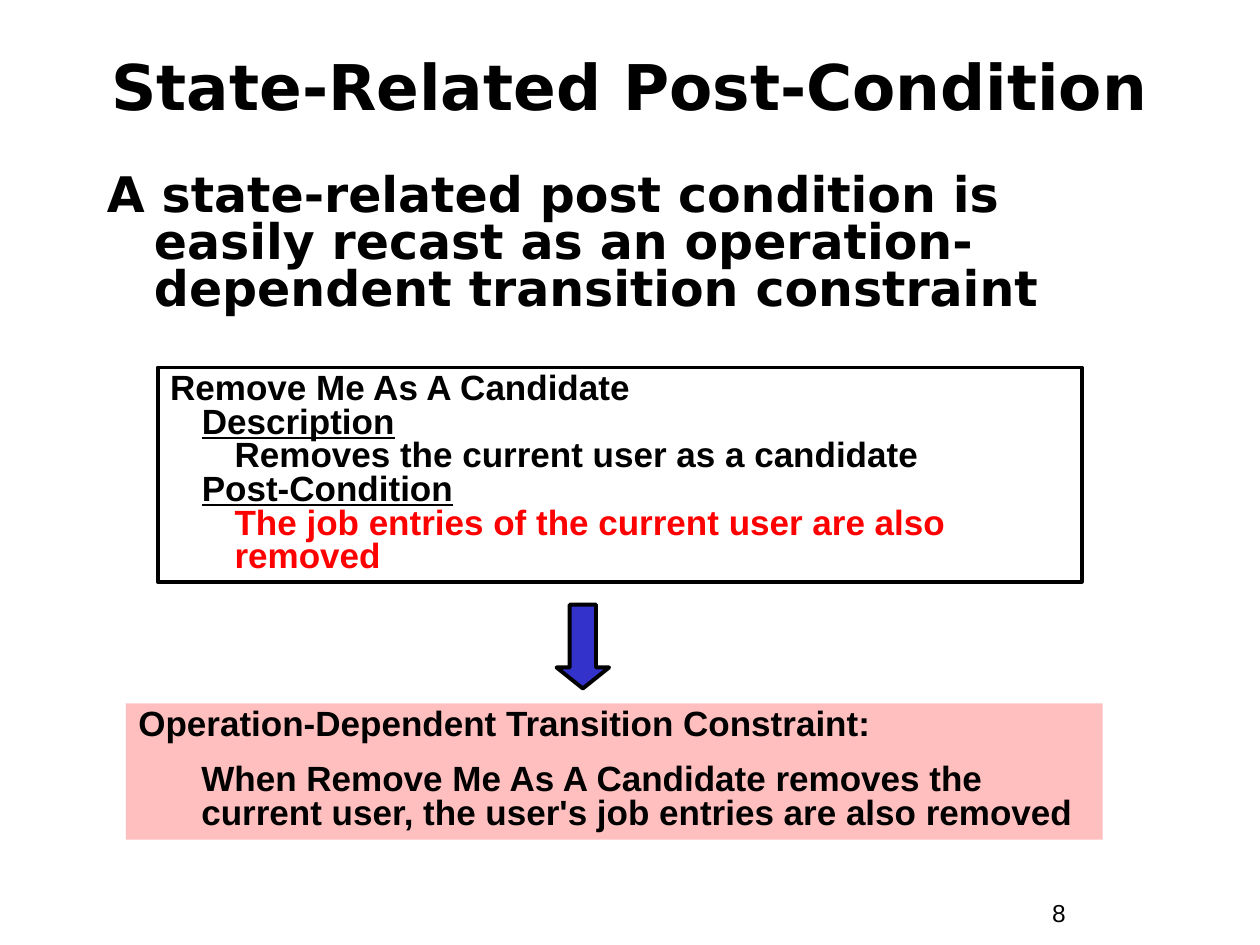
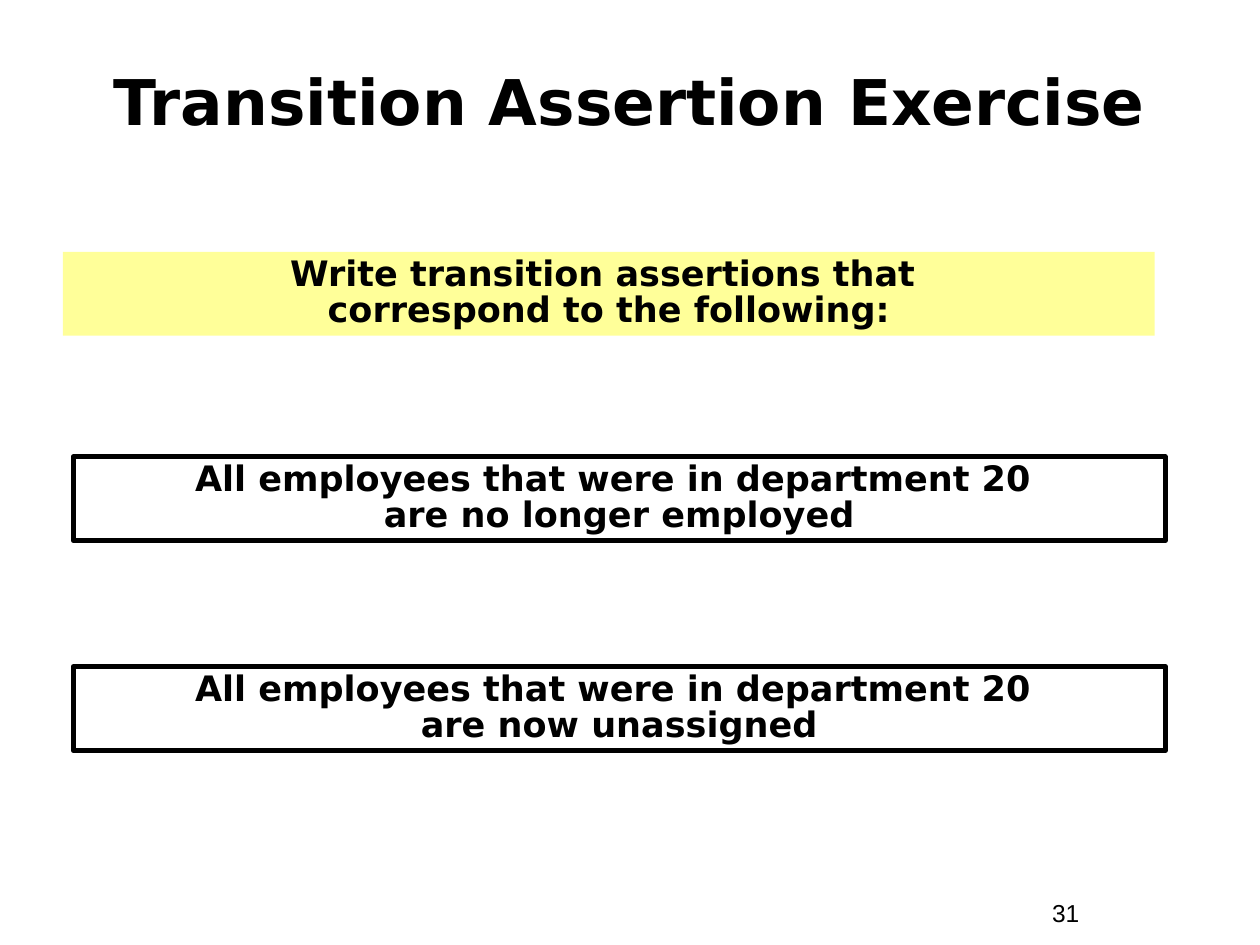
from dataclasses import dataclass
from typing import Optional

from lxml import etree
from pptx import Presentation
from pptx import util as u
from pptx.dml.color import RGBColor
from pptx.enum import shapes, text
from pptx.oxml.ns import qn


@dataclass(frozen=True)
class Theme:
    ink: str = "000000"
    alert: str = "FF0000"
    arrow: str = "3333CC"
    pink: str = "FFBFBF"
    yellow: str = "FFFF99"
    sans: str = "Arial"
    wide: str = "DejaVu Sans"
    title: int = 36
    lead: int = 28
    body: int = 20
    page: int = 14


@dataclass(frozen=True)
class Place:
    """Left, top, width and height in centimetres."""
    left: float
    top: float
    width: float
    height: float

    def put(self, shape) -> None:
        shape.left, shape.top, shape.width, shape.height = self.lengths()

    def lengths(self) -> list:
        return [u.Cm(n) for n in (self.left, self.top, self.width, self.height)]


@dataclass(frozen=True)
class Line:
    words: str
    level: int = 0
    indent: float = 0
    under: bool = False
    color: str = Theme.ink


@dataclass(frozen=True)
class Box:
    place: Place
    lines: tuple
    fill: Optional[str] = None
    edge: float = 0
    font: str = Theme.sans
    align: text.PP_ALIGN = text.PP_ALIGN.LEFT
    space: float = 0.8
    gap: float = 0


THEME = Theme()
PAGE = Place(20.96, 17.98, 2.33, 0.87)
LEAD = Place(1.9, 3.39, 21.38, 3.39)
ARROW = Place(11.22, 12.19, 1.06, 1.69)

STATE = (
    Box(Place(3.18, 7.41, 18.63, 4.32), (
        Line("Remove Me As A Candidate"),
        Line("Description", 1, 0.64, under=True),
        Line("Removes the current user as a candidate", 2, 1.3),
        Line("Post-Condition", 1, 0.64, under=True),
        Line("The job entries of the current user are also removed",
             2, 1.3, color=THEME.alert),
    ), edge=2.25),
    Box(Place(2.54, 14.18, 19.69, 2.75), (
        Line("Operation-Dependent Transition Constraint:"),
        Line("When Remove Me As A Candidate removes the current user, "
             "the user's job entries are also removed", 1, 1.27),
    ), fill=THEME.pink, gap=12.5),
)


def banner(left: float, top: float, words: str, **style) -> Box:
    return Box(Place(left, top, 22.01, 1.69), (Line(words),), font=THEME.wide,
               align=text.PP_ALIGN.CENTER, space=0.85, **style)


TASKS = (
    banner(1.27, 5.08, "Write transition assertions that \vcorrespond to the following:",
           fill=THEME.yellow),
    banner(1.48, 9.21, "All employees that were in department 20 \vare no longer employed",
           edge=3),
    banner(1.48, 13.44, "All employees that were in department 20 \vare now unassigned",
           edge=3),
)


def write(par, words: str, *, size: int, font: str, bold: bool = True,
          color: str = THEME.ink, under: bool = False,
          align: text.PP_ALIGN = text.PP_ALIGN.LEFT, space: float = 1,
          before: float = 0, level: int = 0, indent: float = 0,
          hang: float = 0) -> None:
    """Fill one paragraph; indent and hang are in centimetres."""
    par.text = words
    par.alignment, par.level = align, level
    par.line_spacing, par.space_before = space, u.Pt(before)
    props = par._p.get_or_add_pPr()
    props.set("marL", str(u.Cm(indent)))
    props.set("indent", str(-u.Cm(hang)))
    etree.SubElement(props, qn("a:buNone"))
    for run in par.runs:
        face = run.font
        face.name, face.size, face.bold = font, u.Pt(size), bold
        face.underline = under
        face.color.rgb = RGBColor.from_string(color)


def frame(shape, anchor: text.MSO_ANCHOR = text.MSO_ANCHOR.TOP):
    """Set up the shape's text frame and return it."""
    area = shape.text_frame
    area.word_wrap = True
    area.auto_size = text.MSO_AUTO_SIZE.NONE
    area.vertical_anchor = anchor
    return area


def draw(slide, kind: shapes.MSO_SHAPE, place: Place,
         fill: Optional[str] = None, edge: float = 0):
    shape = slide.shapes.add_shape(kind, *place.lengths())
    shape.shadow.inherit = False
    if fill:
        shape.fill.solid()
        shape.fill.fore_color.rgb = RGBColor.from_string(fill)
    else:
        shape.fill.background()
    if edge:
        shape.line.color.rgb = RGBColor.from_string(THEME.ink)
        shape.line.width = u.Pt(edge)
    else:
        shape.line.fill.background()
    return shape


def draw_box(slide, box: Box) -> None:
    shape = draw(slide, shapes.MSO_SHAPE.RECTANGLE, box.place, box.fill, box.edge)
    area = frame(shape)
    for i, line in enumerate(box.lines):
        par = area.add_paragraph() if i else area.paragraphs[0]
        write(par, line.words, size=THEME.body, font=box.font, color=line.color,
              under=line.under, align=box.align, space=box.space,
              before=box.gap if i else 0, level=line.level, indent=line.indent)


def start(deck, layout: int, title: str, top: float, page: str):
    """Add a slide with its title and page number."""
    slide = deck.slides.add_slide(deck.slide_layouts[layout])
    head = slide.shapes.title
    Place(0.84, top, 23.7, 2.33).put(head)
    write(frame(head, text.MSO_ANCHOR.MIDDLE).paragraphs[0], title,
          size=THEME.title, font=THEME.wide, align=text.PP_ALIGN.CENTER)
    foot = slide.shapes.add_textbox(*PAGE.lengths())
    write(frame(foot).paragraphs[0], page, size=THEME.page, font=THEME.sans,
          bold=False)
    return slide


def state_slide(deck) -> None:
    slide = start(deck, 1, "State-Related Post-Condition", 0.56, "8")
    lead = slide.placeholders[1]
    LEAD.put(lead)
    write(frame(lead).paragraphs[0],
          "A state-related post condition is easily recast as an "
          "operation-dependent transition constraint",
          size=THEME.lead, font=THEME.wide, space=0.8, indent=0.95, hang=0.95)
    for box in STATE:
        draw_box(slide, box)
    arrow = draw(slide, shapes.MSO_SHAPE.DOWN_ARROW, ARROW, THEME.arrow, 2.25)
    arrow.adjustments[0], arrow.adjustments[1] = 0.5, 0.4


def task_slide(deck) -> None:
    slide = start(deck, 5, "Transition Assertion Exercise", 0.85, "31")
    for box in TASKS:
        draw_box(slide, box)


def main() -> None:
    deck = Presentation()
    deck.slide_width, deck.slide_height = u.Cm(25.4), u.Cm(19.05)
    state_slide(deck)
    task_slide(deck)
    deck.save("out.pptx")


if __name__ == "__main__":
    main()
